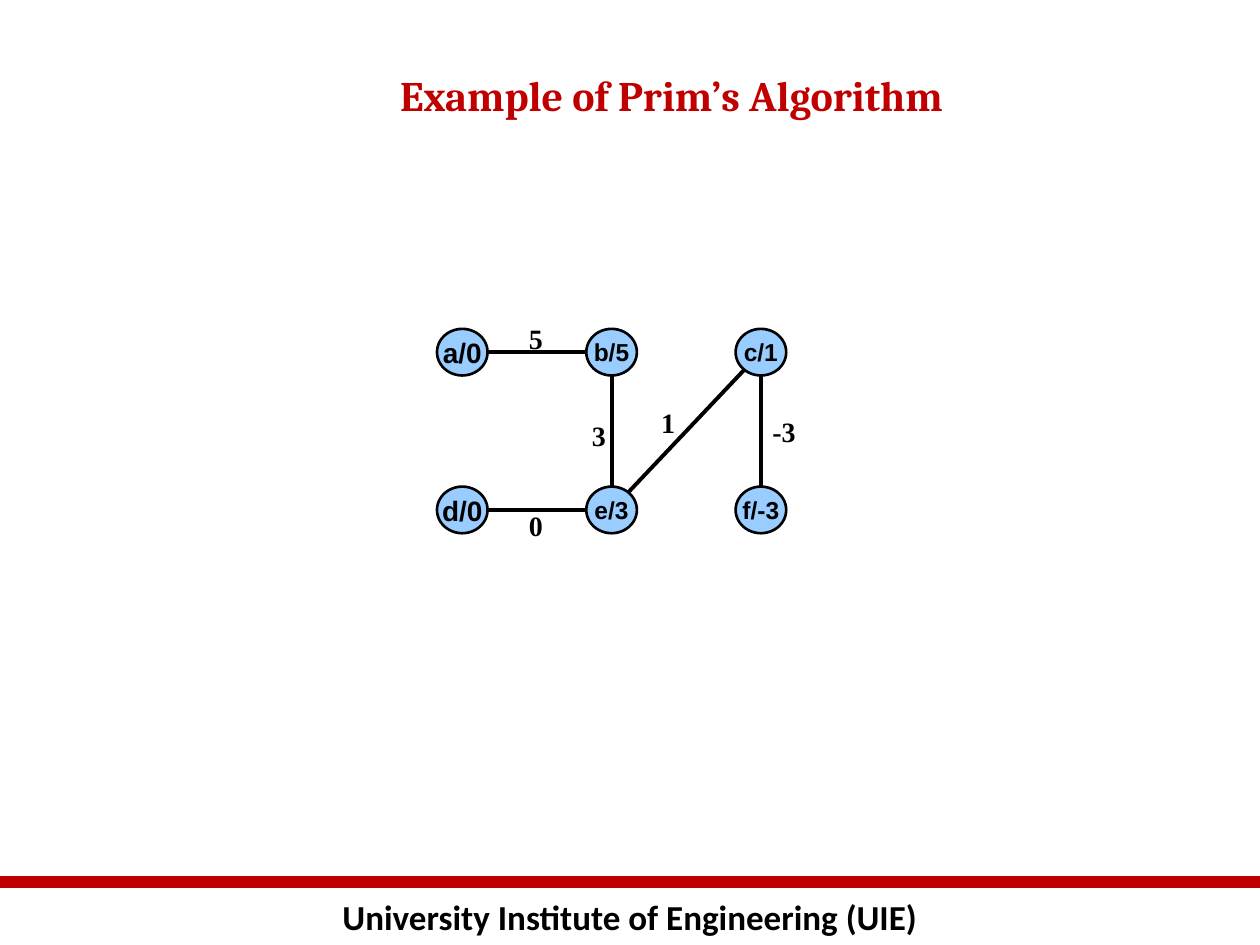
import math

import pptx
import pptx.dml.color
import pptx.enum.shapes
import pptx.enum.text
import pptx.oxml.ns
import pptx.util
from pptx.util import Cm

COLORS = {"red": "C00000", "black": "000000", "node": "99CCFF"}
NODE_WIDTH, NODE_HEIGHT = 1.02, 0.94
COLUMNS = [9.32 + 3.01 * column for column in range(3)]
ROWS = [7.1, 10.28]

# name: (label, column, row, text size)
NODES = {
    "a": ("a/0", 0, 0, 16), "b": ("b/5", 1, 0, 14), "c": ("c/1", 2, 0, 14),
    "d": ("d/0", 0, 1, 16), "e": ("e/3", 1, 1, 14), "f": ("f/-3", 2, 1, 14),
}
# start, end, weight, left and top of the weight label
EDGES = [
    ("a", "b", "5", 10.41, 6.35),
    ("b", "e", "3", 11.68, 8.31),
    ("e", "c", "1", 13.08, 8.05),
    ("c", "f", "-3", 15.32, 8.23),
    ("d", "e", "0", 10.41, 10.13),
]


def rgb(name):
    return pptx.dml.color.RGBColor.from_string(COLORS[name])


def write(shape, text, *, font, size, color="black", centered=True, wrap=False, middle=False):
    frame = shape.text_frame
    frame.word_wrap = wrap
    anchors = pptx.enum.text.MSO_ANCHOR
    frame.vertical_anchor = anchors.MIDDLE if middle else anchors.TOP
    paragraph = frame.paragraphs[0]
    alignments = pptx.enum.text.PP_ALIGN
    paragraph.alignment = alignments.CENTER if centered else alignments.LEFT
    run = paragraph.add_run()
    run.text = text
    run.font.name = font
    run.font.size = pptx.util.Pt(size)
    run.font.bold = True
    run.font.color.rgb = rgb(color)


def center(name):
    label, column, row, size = NODES[name]
    return COLUMNS[column], ROWS[row]


def rim_point(name, target):
    """Return where the line from one node's center to another crosses its ellipse."""
    x, y = center(name)
    target_x, target_y = center(target)
    run, rise = target_x - x, target_y - y
    scale = 1 / math.hypot(run / (NODE_WIDTH / 2), rise / (NODE_HEIGHT / 2))
    return x + run * scale, y + rise * scale


class GraphSlide:
    def __init__(self, presentation):
        self.slide = presentation.slides.add_slide(presentation.slide_layouts[6])

    def text(self, text, left, top, width, height, **style):
        box = self.slide.shapes.add_textbox(Cm(left), Cm(top), Cm(width), Cm(height))
        write(box, text, **style)

    def line(self, start, end, color="black", width=2.25):
        connector = self.slide.shapes.add_connector(
            pptx.enum.shapes.MSO_CONNECTOR.STRAIGHT, *map(Cm, (*start, *end)))
        connector.line.color.rgb = rgb(color)
        connector.line.width = pptx.util.Pt(width)
        properties = connector._element.spPr
        properties.append(properties.makeelement(pptx.oxml.ns.qn("a:effectLst"), {}))

    def node(self, name):
        label, column, row, size = NODES[name]
        x, y = center(name)
        oval = self.slide.shapes.add_shape(
            pptx.enum.shapes.MSO_SHAPE.OVAL, Cm(x - NODE_WIDTH / 2),
            Cm(y - NODE_HEIGHT / 2), Cm(NODE_WIDTH), Cm(NODE_HEIGHT))
        oval.shadow.inherit = False
        oval.fill.solid()
        oval.fill.fore_color.rgb = rgb("node")
        oval.line.color.rgb = rgb("black")
        oval.line.width = pptx.util.Pt(1.5)
        write(oval, label, font="Arial", size=size, middle=True)

    def edge(self, start, end, weight, left, top):
        self.line(rim_point(start, end), rim_point(end, start))
        self.text(weight, left, top, 0.79 if len(weight) == 1 else 0.97, 0.94,
                  font="Times New Roman", size=16, centered=False)


def main():
    presentation = pptx.Presentation()
    presentation.slide_width = Cm(25.4)
    presentation.slide_height = Cm(19.05)
    graph = GraphSlide(presentation)
    graph.text("University Institute of Engineering (UIE)", 0, 17.93, 25.4, 1.11,
               font="Calibri", size=20, wrap=True)
    graph.line((0, 17.78), (25.4, 17.78), color="red", width=7)
    graph.text("Example of Prim’s Algorithm", 2.74, 1.27, 21.59, 2.34,
               font="Cambria", size=24, color="red", wrap=True)
    for name in NODES:
        graph.node(name)
    for edge in EDGES:
        graph.edge(*edge)
    presentation.save("out.pptx")


if __name__ == "__main__":
    main()
